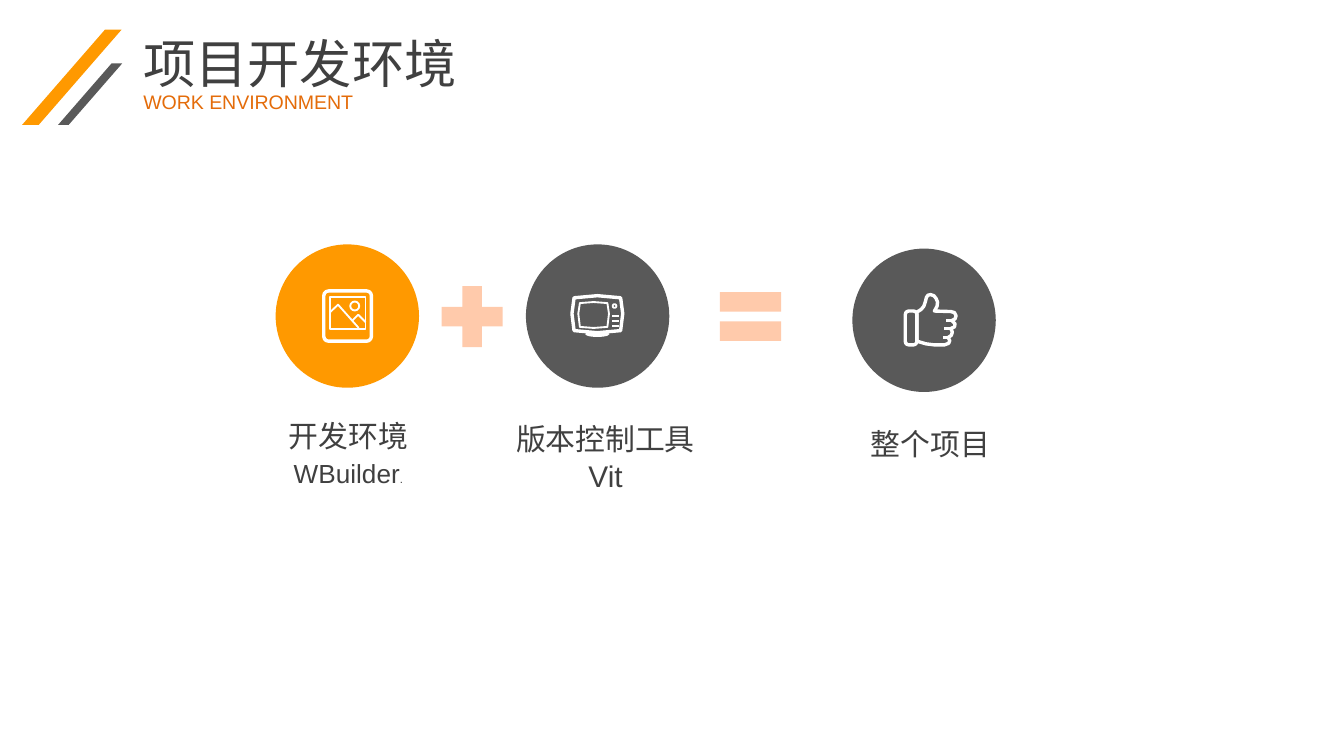
from pptx import Presentation
from pptx.dml.color import RGBColor
from pptx.enum.shapes import MSO_CONNECTOR, MSO_SHAPE
from pptx.enum.text import MSO_ANCHOR, PP_ALIGN
from pptx.oxml.ns import qn
from pptx.util import Cm, Pt

COLORS = {"orange": "FF9900", "gray": "595959", "peach": "FFCAAB",
          "white": "FFFFFF", "text": "404040", "accent": "E46C0A"}
FRAME = {"margin_left": 0, "margin_right": 0, "margin_top": 0, "margin_bottom": 0}
DISC = 2.71


def rgb(name):
    """Return the named colour."""
    return RGBColor.from_string(COLORS[name])


def style(sp, fill=None, line=None, width=1):
    """Give a shape a plain fill or a plain outline."""
    sp.shadow.inherit = False
    if fill:
        sp.fill.solid()
        sp.fill.fore_color.rgb = rgb(fill)
    else:
        sp.fill.background()
    if line:
        sp.line.color.rgb = rgb(line)
        sp.line.width = Pt(width)
    else:
        sp.line.fill.background()
    return sp


def add_preset(s, kind, box, **look):
    """Add a styled preset shape in a box of centimetres."""
    return style(s.shapes.add_shape(kind, *map(Cm, box)), **look)


def add_outline(s, x, y, points, width, closed=True):
    """Draw a white outline through points in hundredths of a centimetre."""
    pts = [(x * 100 + px, y * 100 + py) for px, py in points]
    builder = s.shapes.build_freeform(*pts[0], scale=Cm(0.01))
    builder.add_line_segments(pts[1:], close=closed)
    style(builder.convert_to_shape(), line="white", width=width)


def add_stroke(s, x1, x2, y, width):
    """Draw a short level white line."""
    ln = s.shapes.add_connector(MSO_CONNECTOR.STRAIGHT, *map(Cm, (x1, y, x2, y)))
    ln.line.color.rgb = rgb("white")
    ln.line.width = Pt(width)
    spPr = ln._element.spPr
    spPr.append(spPr.makeelement(qn("a:effectLst"), {}))


def add_text(s, box, runs, color="text", wrap=True, **fmt):
    """Add one paragraph made of (text, size) runs."""
    tf = s.shapes.add_textbox(*map(Cm, box)).text_frame
    for key, value in {**FRAME, "word_wrap": wrap}.items():
        setattr(tf, key, value)
    if "alignment" not in fmt:
        tf.vertical_anchor = MSO_ANCHOR.MIDDLE
    p = tf.paragraphs[0]
    for key, value in fmt.items():
        setattr(p, key, value)
    for text, size in runs:
        r = p.add_run()
        r.text = text
        for key, value in {"name": "Arial", "size": Pt(size)}.items():
            setattr(r.font, key, value)
        r.font.color.rgb = rgb(color)


def header(s, x, y):
    """Place the slanted bars and the two title lines."""
    for box, fill in (((x, y, 1.88, 1.8), "orange"), ((x + 0.68, y + 0.64, 1.21, 1.16), "gray")):
        bar = add_preset(s, MSO_SHAPE.PARALLELOGRAM, box, fill=fill)
        bar.adjustments[0] = 0.87
    add_text(s, (x + 2.29, y + 0.03, 7.8, 1.19), [("项目开发环境", 28)])
    add_text(s, (x + 2.29, y + 1.14, 5.54, 0.46), [("WORK ENVIRONMENT", 10.5)], "accent")


def photo_icon(s, x, y):
    """Draw a framed landscape."""
    x, y = x + 0.88, y + 0.85
    frame = add_preset(s, MSO_SHAPE.ROUNDED_RECTANGLE, (x + 0.03, y + 0.03, 0.9, 0.95),
                       line="white", width=1.8)
    frame.adjustments[0] = 0.1
    add_preset(s, MSO_SHAPE.RECTANGLE, (x + 0.15, y + 0.15, 0.67, 0.6), line="white")
    add_preset(s, MSO_SHAPE.OVAL, (x + 0.53, y + 0.23, 0.17, 0.17), line="white")
    for ridge in ([(15, 43), (30, 29), (69, 73)], [(57, 59), (68, 48), (82, 62)]):
        add_outline(s, x, y, ridge, 1, closed=False)


def tv_icon(s, x, y):
    """Draw a television set."""
    x, y = x + 0.84, y + 0.94
    case = [(7, 7), (51, 3), (95, 7), (99, 37), (95, 69), (51, 73), (7, 69), (3, 37)]
    screen = [(18, 17), (44, 15), (70, 17), (73, 37), (70, 62), (44, 64), (18, 62), (15, 37)]
    add_outline(s, x, y, case, 1.8)
    add_outline(s, x, y, screen, 1)
    add_preset(s, MSO_SHAPE.OVAL, (x + 0.28, y + 0.7, 0.46, 0.11), fill="white")
    add_preset(s, MSO_SHAPE.OVAL, (x + 0.8, y + 0.19, 0.07, 0.07), line="white")
    for dy in (0.42, 0.51, 0.6):
        add_stroke(s, x + 0.79, x + 0.91, y + dy, 1)


def thumb_icon(s, x, y):
    """Draw a raised thumb."""
    x, y = x + 0.97, y + 0.84
    hand = [(25, 36), (33, 31), (38, 25), (41, 16), (43, 8), (46, 4), (51, 3), (57, 5),
            (61, 10), (64, 17), (63, 25), (58, 34), (89, 35), (96, 37), (99, 43),
            (97, 49), (91, 52), (97, 58), (96, 64), (89, 67), (92, 74), (90, 80),
            (84, 84), (87, 90), (85, 95), (77, 98), (58, 98), (42, 96), (25, 91)]
    add_outline(s, x, y, hand, 1.8)
    cuff = add_preset(s, MSO_SHAPE.ROUNDED_RECTANGLE, (x + 0.03, y + 0.34, 0.22, 0.64),
                      line="white", width=1.8)
    cuff.adjustments[0] = 0.3
    for dx, dy in ((0.8, 0.52), (0.77, 0.67), (0.74, 0.84)):
        add_stroke(s, x + dx, x + dx + 0.14, y + dy, 1.5)


def item(s, x, y, fill, icon, title, title_y, detail=(), detail_y=0, shift=0):
    """Place a disc with its icon and the centred labels below it."""
    add_preset(s, MSO_SHAPE.OVAL, (x, y, DISC, DISC), fill=fill)
    icon(s, x, y)
    mid = x + DISC / 2 + shift
    fmt = {"alignment": PP_ALIGN.CENTER, "line_spacing": 1.2}
    add_text(s, (mid - 1.71, title_y, 3.42, 0.76), [(title, 16)], wrap=False, **fmt)
    if detail:
        add_text(s, (mid - 2, detail_y, 4, 0.72), detail, **fmt)


def equation(s, x, y):
    """Place the three items and the signs between them."""
    item(s, x, y, "orange", photo_icon, "开发环境", y + 3.15,
         [("WBuilder", 14), (".", 6)], y + 3.91, 0.02)
    item(s, x + 4.73, y, "gray", tv_icon, "版本控制工具", y + 3.2, [("Vit", 16)], y + 3.89, 0.15)
    item(s, x + 10.9, y + 0.08, "gray", thumb_icon, "整个项目", y + 3.3, shift=0.12)
    for kind, dx in ((MSO_SHAPE.MATH_PLUS, 2.93), (MSO_SHAPE.MATH_EQUAL, 8.19)):
        add_preset(s, kind, (x + dx, y + 0.58, 1.57, 1.57), fill="peach")


def main():
    """Build and save the slide."""
    prs = Presentation()
    prs.slide_width, prs.slide_height = Cm(25.4), Cm(14.29)
    s = prs.slides.add_slide(prs.slide_layouts[6])
    header(s, 0.42, 0.56)
    equation(s, 5.21, 4.62)
    prs.save("out.pptx")


if __name__ == "__main__":
    main()
